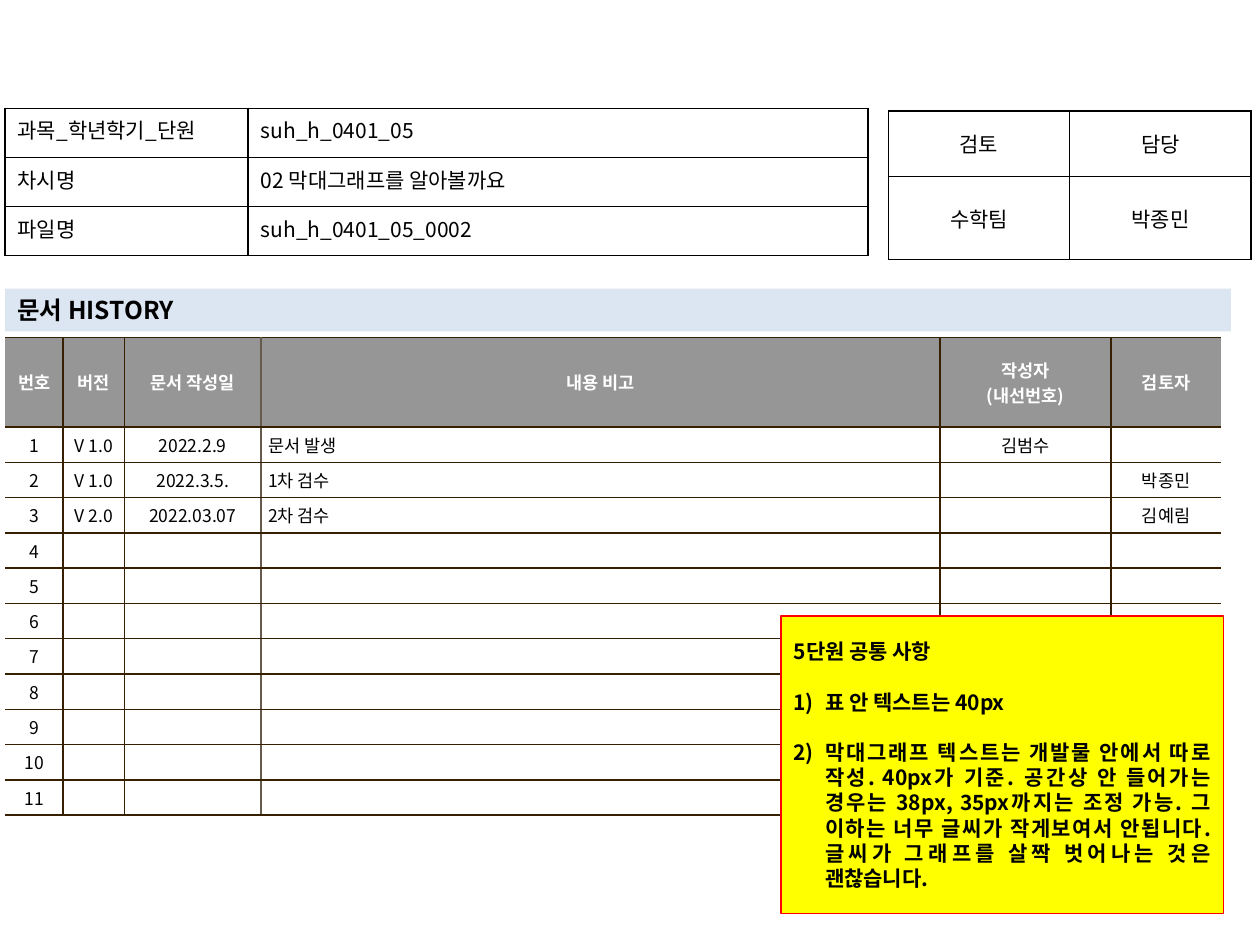
from lxml.etree import SubElement
from pptx import Presentation
from pptx.dml.color import RGBColor
from pptx.enum.shapes import MSO_SHAPE
from pptx.enum.text import MSO_ANCHOR, PP_ALIGN
from pptx.oxml.ns import qn
from pptx.util import Inches, Pt

FONT = "Noto Sans CJK KR"
BLACK = RGBColor(0x00, 0x00, 0x00)
WHITE = RGBColor(0xFF, 0xFF, 0xFF)
GRAY = RGBColor(0x96, 0x96, 0x96)
BROWN = RGBColor(0x36, 0x20, 0x00)
TAUPE = RGBColor(0x64, 0x5B, 0x4C)
PALE_BLUE = RGBColor(0xDC, 0xE6, 0xF2)
YELLOW = RGBColor(0xFF, 0xFF, 0x00)
RED = RGBColor(0xFF, 0x00, 0x00)

DOCUMENT_ROWS = [
    ["과목_학년학기_단원", "suh_h_0401_05"],
    ["차시명", "02 막대그래프를 알아볼까요"],
    ["파일명", "suh_h_0401_05_0002"],
]
REVIEW_ROWS = [["검토", "담당"], ["수학팀", "박종민"]]
HISTORY_HEADER = ["번호", "버전", "문서 작성일", "내용 비고", "작성자\n(내선번호)", "검토자"]
HISTORY_ENTRIES = [
    ["V 1.0", "2022.2.9", "문서 발생", "김범수", ""],
    ["V 1.0", "2022.3.5.", "1차 검수", "", "박종민"],
    ["V 2.0", "2022.03.07", "2차 검수", "", "김예림"],
]
HISTORY_COUNT = 11
REMARK_COLUMN = 3
NOTE_TITLE = "5단원 공통 사항"
NOTE_ITEMS = [
    "표 안 텍스트는 40px",
    "막대그래프 텍스트는 개발물 안에서 따로 작성. 40px가 기준. 공간상 안 들어가는 경우는 "
    "38px, 35px까지는 조정 가능. 그 이하는 너무 글씨가 작게보여서 안됩니다. "
    "글씨가 그래프를 살짝 벗어나는 것은 괜찮습니다.",
]


def write_text(text_frame, text, size=12, color=BLACK, bold=False, align=PP_ALIGN.LEFT):
    """Write one paragraph for each line of text."""
    for index, line in enumerate(text.split("\n")):
        paragraph = text_frame.add_paragraph() if index else text_frame.paragraphs[0]
        paragraph.alignment = align
        if not line:
            # Keeps an empty cell from growing to the default text size.
            paragraph._p.get_or_add_endParaRPr().set("sz", str(size * 100))
            continue
        run = paragraph.add_run()
        run.text = line
        font = run.font
        font.name, font.size, font.bold = FONT, Pt(size), bold
        font.color.rgb = color
        SubElement(font._element, qn("a:ea"), typeface=FONT)


def number_paragraph(paragraph):
    properties = paragraph._p.get_or_add_pPr()
    properties.set("marL", str(Inches(0.25)))
    properties.set("indent", str(-Inches(0.25)))
    SubElement(properties, qn("a:buFont"), typeface=FONT)
    SubElement(properties, qn("a:buAutoNum"), type="arabicParenR")


def set_borders(cell, **colors):
    """Draw the sides L, R, T and B; a side given as None has no line."""
    properties = cell._tc.get_or_add_tcPr()
    for side in "LRTB":
        line = SubElement(properties, qn(f"a:ln{side}"), w=str(Pt(1)))
        if colors[side] is None:
            SubElement(line, qn("a:noFill"))
        else:
            fill = SubElement(line, qn("a:solidFill"))
            SubElement(fill, qn("a:srgbClr"), val=str(colors[side]))


def add_grid(slide, left, top, widths, heights):
    """Add a table without style options."""
    table = slide.shapes.add_table(
        len(heights), len(widths), Inches(left), Inches(top),
        Inches(sum(widths)), Inches(sum(heights))).table
    table.first_row = table.horz_banding = False
    for column, width in zip(table.columns, widths):
        column.width = Inches(width)
    for row, height in zip(table.rows, heights):
        row.height = Inches(height)
    return table


def add_plain_table(slide, left, top, widths, heights, rows, aligns, anchor):
    table = add_grid(slide, left, top, widths, heights)
    for row_index, row in enumerate(rows):
        for column_index, text in enumerate(row):
            cell = table.cell(row_index, column_index)
            set_borders(cell, L=BLACK, R=BLACK, T=BLACK, B=BLACK)
            cell.fill.background()
            cell.vertical_anchor = anchor
            write_text(cell.text_frame, text, align=aligns[column_index])


def add_history_table(slide):
    widths = [0.46, 0.49, 1.08, 5.39, 1.36, 0.87]
    table = add_grid(slide, 0.04, 2.68, widths, [0.71] + [0.28] * HISTORY_COUNT)
    blank_entries = [[""] * 5] * (HISTORY_COUNT - len(HISTORY_ENTRIES))
    rows = [HISTORY_HEADER] + [
        [str(number), *entry]
        for number, entry in enumerate(HISTORY_ENTRIES + blank_entries, 1)]
    inner_lines = [BROWN] * (len(widths) - 1)
    inner_lines[REMARK_COLUMN - 1] = TAUPE
    edges = [None, *inner_lines, None]
    for row_index, row in enumerate(rows):
        is_header = row_index == 0
        for column_index, text in enumerate(row):
            cell = table.cell(row_index, column_index)
            set_borders(cell, L=edges[column_index], R=edges[column_index + 1],
                        T=BROWN, B=BROWN)
            cell.fill.solid()
            cell.fill.fore_color.rgb = GRAY if is_header else WHITE
            cell.vertical_anchor = MSO_ANCHOR.MIDDLE
            cell.margin_left = cell.margin_right = Inches(0.06)
            cell.margin_top = cell.margin_bottom = Inches(0.04)
            is_remark = column_index == REMARK_COLUMN and not is_header
            write_text(cell.text_frame, text, size=10, bold=is_header,
                       color=WHITE if is_header else BLACK,
                       align=PP_ALIGN.LEFT if is_remark else PP_ALIGN.CENTER)


def add_box(slide, left, top, width, height, fill, line=None):
    shape = slide.shapes.add_shape(
        MSO_SHAPE.RECTANGLE, Inches(left), Inches(top), Inches(width), Inches(height))
    shape.shadow.inherit = False
    shape.fill.solid()
    shape.fill.fore_color.rgb = fill
    if line is None:
        shape.line.fill.background()
    else:
        shape.line.color.rgb = line
        shape.line.width = Pt(1)
    shape.text_frame.word_wrap = True
    shape.text_frame.vertical_anchor = MSO_ANCHOR.MIDDLE
    return shape


def add_note(slide):
    text_frame = add_box(slide, 6.2, 4.89, 3.51, 2.36, YELLOW, RED).text_frame
    write_text(text_frame, "\n".join([NOTE_TITLE, *NOTE_ITEMS]),
               bold=True, align=PP_ALIGN.JUSTIFY)
    for index, paragraph in enumerate(text_frame.paragraphs):
        paragraph.line_spacing = Pt(14.4)
        if index:
            paragraph.space_before = Pt(14.4)
            number_paragraph(paragraph)


def main():
    presentation = Presentation()
    presentation.slide_width = Inches(10)
    presentation.slide_height = Inches(7.5)
    slide = presentation.slides.add_slide(presentation.slide_layouts[6])

    add_history_table(slide)
    add_plain_table(slide, 7.05, 0.88, [1.44] * 2, [0.52, 0.66], REVIEW_ROWS,
                    [PP_ALIGN.CENTER] * 2, MSO_ANCHOR.MIDDLE)
    heading = add_box(slide, 0.04, 2.29, 9.73, 0.34, PALE_BLUE)
    write_text(heading.text_frame, "문서 HISTORY", size=14, bold=True)
    add_plain_table(slide, 0.04, 0.86, [1.93, 4.92], [0.39] * 3, DOCUMENT_ROWS,
                    [PP_ALIGN.JUSTIFY, PP_ALIGN.LEFT], MSO_ANCHOR.TOP)
    add_note(slide)
    presentation.save("out.pptx")


if __name__ == "__main__":
    main()
